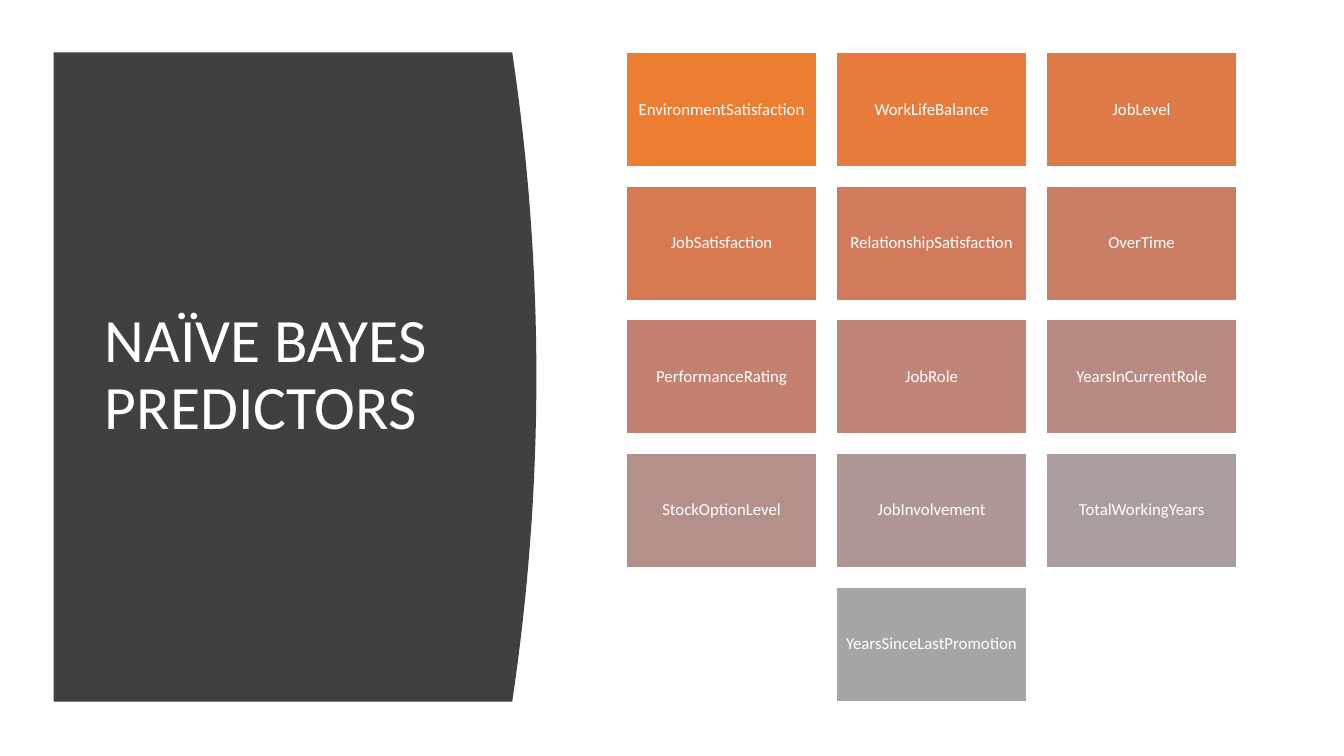
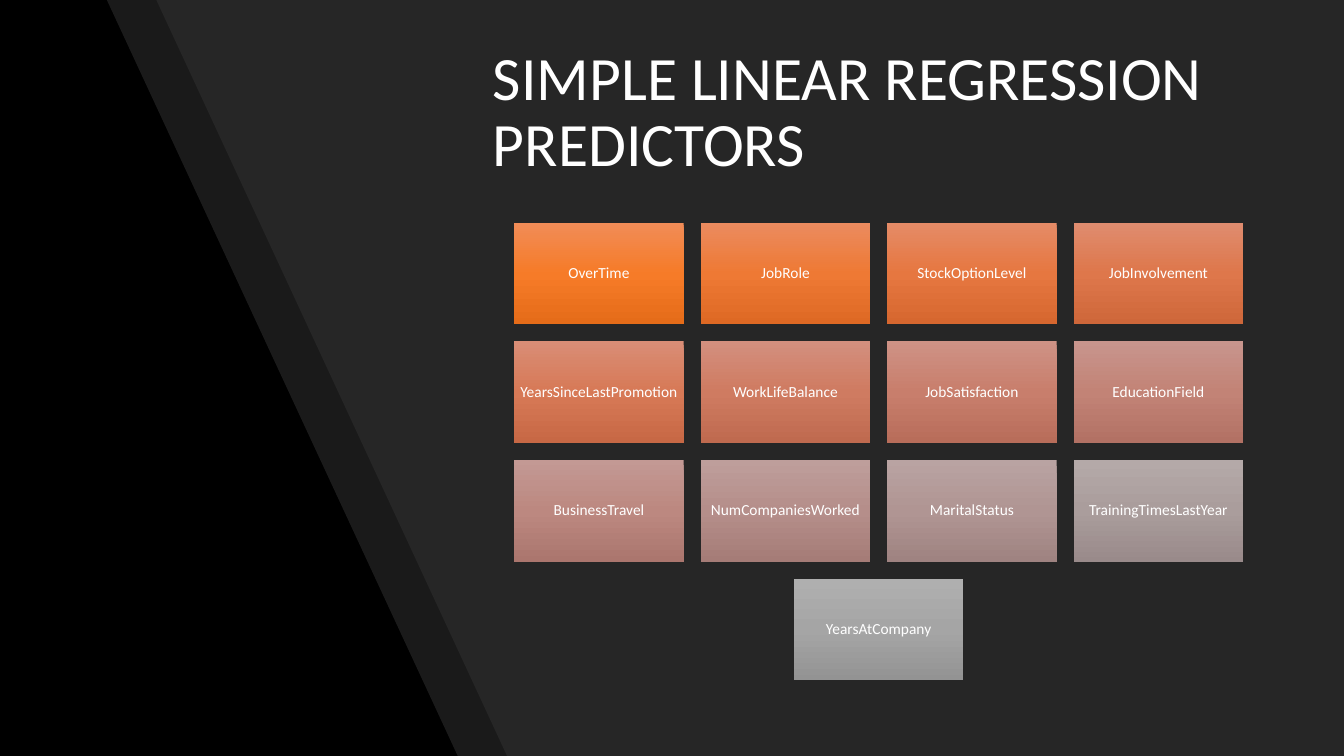
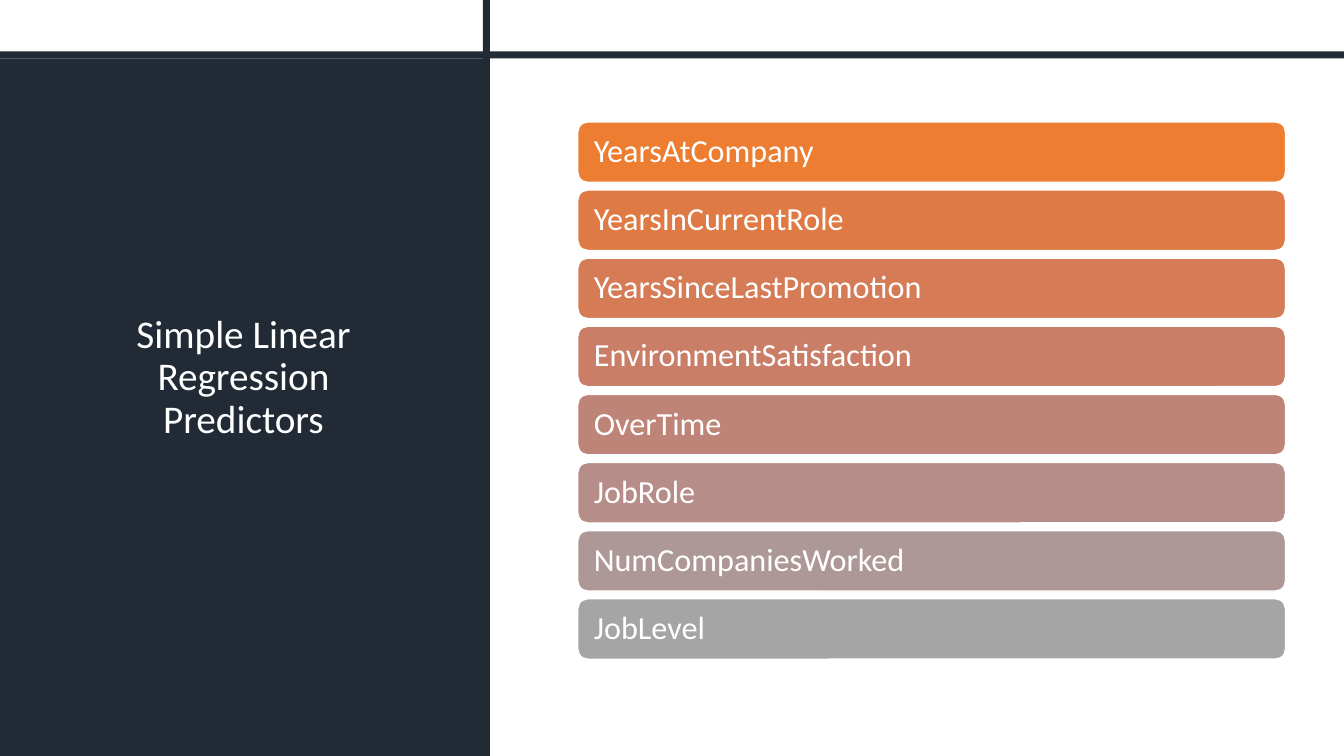
import colorsys
import copy

from lxml import etree
from pptx import Presentation
from pptx.dml.color import RGBColor
from pptx.enum.shapes import MSO_SHAPE
from pptx.enum.text import MSO_ANCHOR, MSO_AUTO_SIZE, PP_ALIGN
from pptx.oxml.ns import qn
from pptx.util import Inches, Pt

RECT, ROUND_RECT = MSO_SHAPE.RECTANGLE, MSO_SHAPE.ROUNDED_RECTANGLE
LEFT, CENTER = PP_ALIGN.LEFT, PP_ALIGN.CENTER
MIDDLE = MSO_ANCHOR.MIDDLE
NO_AUTOFIT = MSO_AUTO_SIZE.NONE

FONT = "Calibri"
COLORS = {
    "white": "FFFFFF", "black": "000000", "charcoal": "404040",
    "graphite": "262626", "navy": "222A35",
    "orange": "ED7D31", "gray": "A5A5A5",
}
# First and last tile colour at the top, middle and bottom of the gradient
GLOSSY_STOPS = [("F18C57", "AFAFAF"), ("F67B28", "A5A5A5"), ("E56C19", "939393")]
WIDTH, HEIGHT = Inches(13.33), Inches(7.5)
TITLE_ONLY = 5

BAYES = [
    "EnvironmentSatisfaction", "WorkLifeBalance", "JobLevel",
    "JobSatisfaction", "RelationshipSatisfaction", "OverTime",
    "PerformanceRating", "JobRole", "YearsInCurrentRole",
    "StockOptionLevel", "JobInvolvement", "TotalWorkingYears",
    "YearsSinceLastPromotion",
]
REGRESSION = [
    "OverTime", "JobRole", "StockOptionLevel", "JobInvolvement",
    "YearsSinceLastPromotion", "WorkLifeBalance", "JobSatisfaction",
    "EducationField", "BusinessTravel", "NumCompaniesWorked",
    "MaritalStatus", "TrainingTimesLastYear", "YearsAtCompany",
]
REGRESSION_SHORT = [
    "YearsAtCompany", "YearsInCurrentRole", "YearsSinceLastPromotion",
    "EnvironmentSatisfaction", "OverTime", "JobRole", "NumCompaniesWorked",
    "JobLevel",
]


def area(x, y, w, h):
    """Turn percentages of the slide's size into a box of lengths."""
    return (round(WIDTH * x / 100), round(HEIGHT * y / 100),
            round(WIDTH * w / 100), round(HEIGHT * h / 100))


def blend(first, last, share):
    """Mix two hex colours by hue, lightness and saturation."""
    a, b = (colorsys.rgb_to_hls(*(v / 255 for v in bytes.fromhex(c)))
            for c in (first, last))
    mixed = (p + (q - p) * share for p, q in zip(a, b))
    return "".join(f"{round(v * 255):02X}" for v in colorsys.hls_to_rgb(*mixed))


def write(sp, text, size, align=LEFT, margin=0.1):
    tf = sp.text_frame
    tf.word_wrap = True
    tf.auto_size = NO_AUTOFIT
    tf.vertical_anchor = MIDDLE
    tf.margin_left = tf.margin_right = Inches(margin)
    tf.margin_top = tf.margin_bottom = Inches(0.05)
    p = tf.paragraphs[0]
    p.alignment = align
    p.line_spacing = 0.9
    r = p.add_run()
    r.text = text
    r.font.name = FONT
    r.font.size = Pt(size)
    r.font.color.rgb = RGBColor.from_string(COLORS["white"])


def paint(sp, color, outline=False, alpha=None):
    sp.shadow.inherit = False
    sp.fill.solid()
    sp.fill.fore_color.rgb = RGBColor.from_string(color)
    if alpha is not None:
        clr = sp._element.spPr.find(".//" + qn("a:srgbClr"))
        etree.SubElement(clr, qn("a:alpha")).set("val", str(alpha * 1000))
    if outline:
        sp.line.color.rgb = RGBColor.from_string(COLORS["white"])
        sp.line.width = Pt(1)
    else:
        sp.line.fill.background()


def paint_glossy(sp, share):
    """Fill with a vertical three-stop gradient."""
    sp.shadow.inherit = False
    sp.line.fill.background()
    sp.fill.gradient()
    sp.fill.gradient_angle = 270
    stops = sp._element.spPr.find(".//" + qn("a:gsLst"))
    stops.insert(1, copy.deepcopy(stops[0]))
    for i, (stop, (first, last)) in enumerate(zip(sp.fill.gradient_stops, GLOSSY_STOPS)):
        stop.color.rgb = RGBColor.from_string(blend(first, last, share))
        stop.position = i / 2


def add_outline(slide, points, color, alpha=None):
    builder = slide.shapes.build_freeform(*points[0], scale=1.0)
    builder.add_line_segments(points[1:], close=True)
    paint(builder.convert_to_shape(), color, alpha=alpha)


def add_band(slide, box, color):
    paint(slide.shapes.add_shape(RECT, *box), color)


def add_title(slide, box, text, size, align=LEFT):
    sp = slide.shapes.title
    sp.left, sp.top, sp.width, sp.height = box
    write(sp, text, size, align)
    slide.shapes._spTree.append(sp._element)  # in front of the bands


def add_curved_panel(slide, box, color, steps=32):
    """Panel whose right side bulges as a parabola."""
    x, y, w, h = box
    bulge = w * 0.05
    points = [(x, y)]
    for i in range(steps + 1):
        offset = 2 * i / steps - 1
        points.append((round(x + w - bulge * offset ** 2), round(y + h * i / steps)))
    points.append((x, y + h))
    add_outline(slide, points, color)


def add_slanted_panel(slide, top_x, bottom_x, color, alpha=None):
    """Panel from a slanted left edge to the slide's right edge."""
    corners = [(100, 100), (bottom_x, 100), (top_x, 0), (100, 0)]
    add_outline(slide, [area(x, y, 0, 0)[:2] for x, y in corners], color, alpha)


def add_tiles(slide, box, names, cols, size, glossy=False):
    """Grid of tiles of 5:3 with gaps of a tenth; a short last row is centred."""
    x, y, w, _ = box
    tile_w = w / (cols + (cols - 1) * 0.1)
    tile_h, gap = tile_w * 0.6, tile_w * 0.1
    for i, name in enumerate(names):
        row, col = divmod(i, cols)
        missing = cols - min(cols, len(names) - row * cols)
        left = x + (col + missing / 2) * (tile_w + gap)
        top = y + row * (tile_h + gap)
        sp = slide.shapes.add_shape(RECT, *map(round, (left, top, tile_w, tile_h)))
        share = i / (len(names) - 1)
        if glossy:
            paint_glossy(sp, share)
        else:
            paint(sp, blend(COLORS["orange"], COLORS["gray"], share), outline=True)
        write(sp, name, size, CENTER, margin=0.05)


def add_bars(slide, box, names):
    x, y, w, h = box
    bar_h = Inches(0.6)
    pitch = (h - bar_h) / (len(names) - 1)
    for i, name in enumerate(names):
        sp = slide.shapes.add_shape(ROUND_RECT, x, round(y + i * pitch), w, bar_h)
        share = i / (len(names) - 1)
        paint(sp, blend(COLORS["orange"], COLORS["gray"], share), outline=True)
        write(sp, name, 23, margin=0.13)


def new_slide(prs, background):
    slide = prs.slides.add_slide(prs.slide_layouts[TITLE_ONLY])
    fill = slide.background.fill
    fill.solid()
    fill.fore_color.rgb = RGBColor.from_string(COLORS[background])
    return slide


def bayes_slide(prs):
    slide = new_slide(prs, "white")
    add_curved_panel(slide, area(3.98, 6.93, 35.93, 85.87), COLORS["charcoal"])
    add_title(slide, area(7.05, 14.8, 28.06, 69.87), "NAÏVE BAYES PREDICTORS", 44)
    add_tiles(slide, area(46.59, 6.93, 45.46, 85.73), BAYES, 3, 12)


def regression_slide(prs):
    slide = new_slide(prs, "black")
    add_slanted_panel(slide, 7.95, 34.06, COLORS["graphite"], alpha=70)
    add_slanted_panel(slide, 11.63, 37.73, COLORS["graphite"])
    add_title(slide, area(35.93, 5.33, 58.81, 19.33),
              "SIMPLE LINEAR REGRESSION PREDICTORS", 44)
    add_tiles(slide, area(38.26, 29.47, 54.24, 60.67), REGRESSION, 4, 11, glossy=True)


def regression_list_slide(prs):
    slide = new_slide(prs, "white")
    for box in (area(0, 7.73, 36.46, 92.27), area(35.93, 0, 0.53, 100),
                area(0, 6.8, 100, 0.93)):
        add_band(slide, box, COLORS["navy"])
    add_title(slide, area(4.95, 11.2, 26.33, 77.6),
              "Simple Linear Regression Predictors", 28, CENTER)
    add_bars(slide, area(42.99, 16.13, 52.66, 71.07), REGRESSION_SHORT)


def main():
    prs = Presentation()
    prs.slide_width, prs.slide_height = WIDTH, HEIGHT
    bayes_slide(prs)
    regression_slide(prs)
    regression_list_slide(prs)
    prs.save("out.pptx")


if __name__ == "__main__":
    main()
